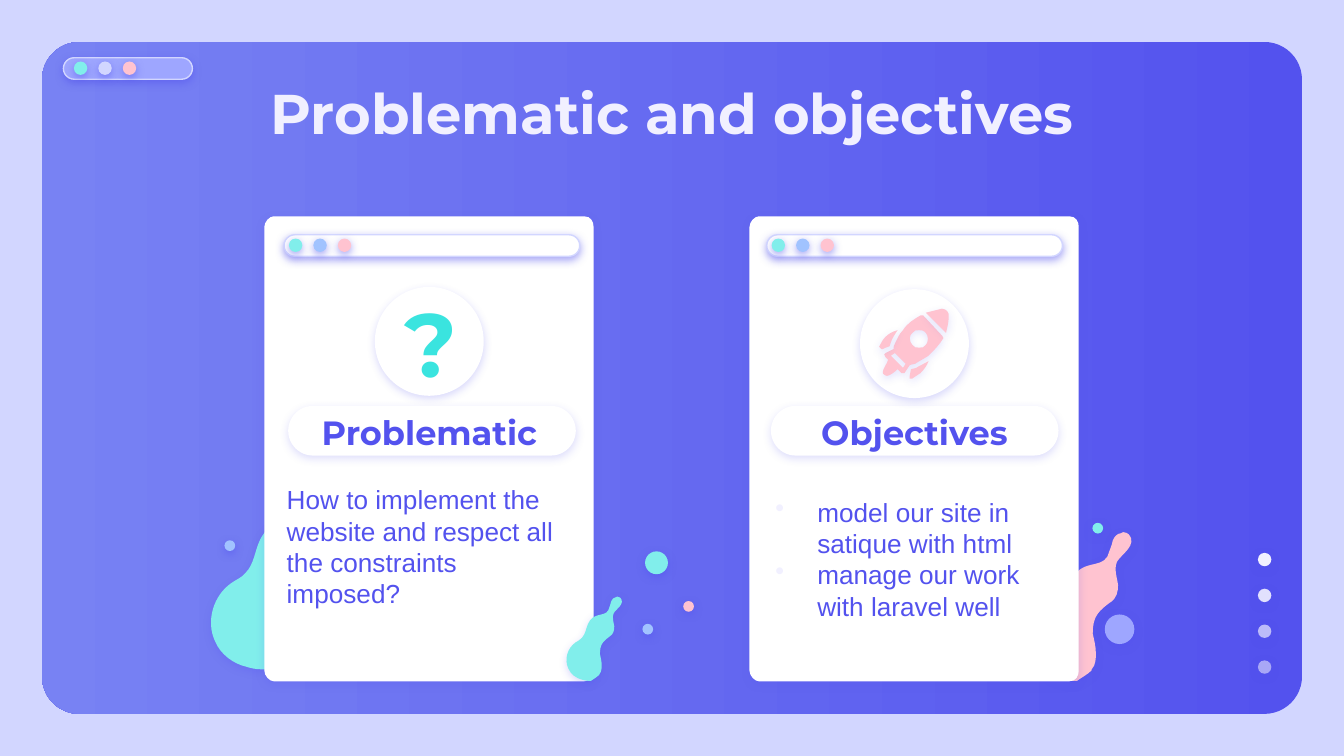
from dataclasses import dataclass

from lxml.etree import SubElement
from pptx import Presentation
from pptx.dml.color import RGBColor
from pptx.enum.shapes import MSO_SHAPE
from pptx.enum.text import MSO_ANCHOR, PP_ALIGN
from pptx.oxml.ns import qn
from pptx.util import Pt

COLOURS = {
    "backdrop": "D2D6FF", "indigo": "5352EE", "periwinkle": "7882F3", "lavender": "9EA6FF",
    "aqua": "81EEEB", "teal": "3AE4DF", "pink": "FFC3D0", "sky": "A1C3FF",
    "pale": "F1F0FF", "white": "FFFFFF",
}
GRID = 0.72  # points in one unit of the outlines below
COMMANDS = {"M": ("a:moveTo", 1), "L": ("a:lnTo", 1), "C": ("a:cubicBezTo", 3),
            "Z": ("a:close", 0)}

CARD = ("M 7 0 C 4 0 0 4 0 8 L 0 338 C 0 342 4 346 7 346 L 238 346 "
        "C 243 346 245 342 245 338 L 245 8 C 245 4 243 0 238 0 Z")
BLOB = ("M 89 0 C 91 0 93 1 94 2 C 103 12 87 21 83 28 C 80 35 83 43 84 50 "
        "C 84 56 83 63 76 67 C 72 70 68 73 65 77 C 61 82 60 89 60 96 "
        "C 61 101 63 108 63 115 C 63 119 63 126 59 130 L 59 131 C 55 135 49 138 45 141 "
        "C 44 141 42 141 41 141 C 37 141 33 140 30 139 C 21 137 11 130 7 120 "
        "C 0 105 6 86 19 77 C 23 74 27 73 30 69 C 36 63 37 52 40 46 "
        "C 49 25 67 35 74 23 C 76 17 78 13 79 8 C 80 5 83 1 87 1 C 88 0 89 0 89 0 Z")
ROCKET_BODY = (
    "M 30 16 C 32 16 33 16 35 18 C 37 20 37 25 35 27 C 34 29 32 29 30 29 "
    "C 28 29 26 29 25 27 C 24 26 23 24 23 22 C 23 20 24 19 25 18 C 26 16 28 16 30 16 Z "
    "M 12 33 L 20 41 L 18 44 L 9 35 L 12 33 Z "
    "M 31 5 C 31 5 31 5 31 5 C 26 8 21 11 18 16 C 15 19 14 22 12 26 C 11 27 11 29 11 30 "
    "L 5 33 C 5 33 4 34 4 34 C 4 35 4 35 5 36 L 7 38 C 6 41 3 45 3 47 C 3 48 3 49 4 49 "
    "C 4 49 5 50 6 50 C 8 50 12 47 14 45 L 17 48 C 17 48 18 48 18 48 L 18 48 "
    "C 19 48 19 48 19 48 L 23 42 C 24 42 25 41 27 41 C 30 39 34 37 37 35 "
    "C 41 31 45 27 48 22 C 48 22 48 21 47 20 L 33 5 C 32 5 32 5 31 5 Z")
ROCKET_NOSE = ("M 47 0 C 47 0 47 0 47 0 C 43 1 39 2 35 3 L 50 18 C 51 14 52 10 52 6 "
               "C 52 4 52 3 51 2 C 50 1 49 0 47 0 Z")
ROCKET_LOWER_FIN = ("M 37 39 L 37 39 C 34 41 31 42 28 44 C 27 44 26 45 24 45 "
                    "C 24 47 24 48 23 50 C 23 50 23 51 23 52 C 24 52 24 52 24 52 "
                    "C 25 52 25 52 25 52 C 27 51 29 49 31 48 C 34 45 36 42 37 39 Z")
ROCKET_UPPER_FIN = ("M 14 16 C 10 17 7 19 5 21 C 3 23 2 25 1 27 C 0 28 0 29 1 29 "
                    "C 1 30 2 30 2 30 C 2 30 3 30 3 30 C 4 29 6 29 8 28 "
                    "C 8 27 8 26 9 25 C 10 22 12 19 14 16 Z")

TITLE_FONT = {"name": "Montserrat", "size": Pt(30), "bold": True}
LABEL_FONT = {"name": "Montserrat", "size": Pt(18), "bold": True}
ICON_FONT = {"name": "Montserrat", "size": Pt(48), "bold": True}
BODY_FONT = {"name": "Arial", "size": Pt(14), "bold": False}


@dataclass
class Box:
    left: float
    top: float
    width: float
    height: float


@dataclass
class Dot:
    left: float
    top: float
    size: float
    colour: str
    opacity: int = 100


@dataclass
class Card:
    left: float
    pill_left: float
    label: str
    icon_top: float
    body: Box
    lines: list[str]
    bulleted: bool = False
    bottom_inset: float = 7.2


def rgb(name: str) -> RGBColor:
    return RGBColor.from_string(COLOURS[name])


def paint(shape, colour: str, shadow: int = 0, line: str = "", opacity: int = 100) -> None:
    """Set fill, outline and soft drop shadow; shadow and opacity are percentages."""
    shape.shadow.inherit = False
    shape.fill.solid()
    shape.fill.fore_color.rgb = rgb(colour)
    properties = shape.element.spPr
    if opacity < 100:
        fill_colour = properties.find(qn("a:solidFill")).find(qn("a:srgbClr"))
        SubElement(fill_colour, qn("a:alpha"), val=str(opacity * 1000))
    if line:
        shape.line.color.rgb = rgb(line)
        shape.line.width = Pt(0.75)
    else:
        shape.line.fill.background()
    if shadow:
        outer = SubElement(properties.find(qn("a:effectLst")), qn("a:outerShdw"),
                           blurRad=str(Pt(4.5)), dist=str(Pt(1.5)), dir="5400000",
                           algn="bl", rotWithShape="0")
        tint = SubElement(outer, qn("a:srgbClr"), val=COLOURS["indigo"])
        SubElement(tint, qn("a:alpha"), val=str(shadow * 1000))


def add_preset(page, kind, box: Box):
    return page.shapes.add_shape(kind, Pt(box.left), Pt(box.top), Pt(box.width), Pt(box.height))


def add_pill(page, box: Box, colour: str, shadow: int, line: str = "") -> None:
    pill = add_preset(page, MSO_SHAPE.ROUNDED_RECTANGLE, box)
    pill.adjustments[0] = 0.5
    paint(pill, colour, shadow, line)


def add_dot(page, dot: Dot) -> None:
    circle = add_preset(page, MSO_SHAPE.OVAL, Box(dot.left, dot.top, dot.size, dot.size))
    paint(circle, dot.colour, 50, opacity=dot.opacity)


def add_window_bar(page, box: Box, inset: float, colour: str, middle_dot: str) -> None:
    add_pill(page, box, colour, 50, "backdrop")
    for index, dot_colour in enumerate(("aqua", middle_dot, "pink")):
        add_dot(page, Dot(box.left + inset + 13.1 * index, box.top + 2, 7.2, dot_colour))


def add_outline(page, outline: str, left: float, top: float, colour: str, shadow: int,
                scale: float = 1) -> None:
    """Size a freeform by all its points, then give it real curves."""
    unit = GRID * scale
    tokens = outline.split()
    numbers = [float(token) for token in tokens if token not in COMMANDS]
    points = [(Pt(left + x * unit), Pt(top + y * unit))
              for x, y in zip(numbers[::2], numbers[1::2])]
    builder = page.shapes.build_freeform(*points[0], scale=1.0)
    builder.add_line_segments(points[1:], close=True)
    shape = builder.convert_to_shape()
    geometry = shape.element.spPr.find(qn("a:custGeom")).find(qn("a:pathLst"))[0]
    for segment in list(geometry):
        geometry.remove(segment)
    remaining = iter(points)
    for token in tokens:
        if token in COMMANDS:
            tag, count = COMMANDS[token]
            segment = SubElement(geometry, qn(tag))
            for _ in range(count):
                x, y = next(remaining)
                SubElement(segment, qn("a:pt"), x=str(x - shape.left), y=str(y - shape.top))
    paint(shape, colour, shadow)


def write(shape, lines: list[str], font: dict, colour: str, centred: bool = True,
          inset: float = 7.2, bottom_inset: float = 7.2, anchor=MSO_ANCHOR.MIDDLE,
          bulleted: bool = False) -> None:
    frame = shape.text_frame
    settings = {"word_wrap": True, "vertical_anchor": anchor, "margin_left": Pt(inset),
                "margin_right": Pt(inset), "margin_top": Pt(inset),
                "margin_bottom": Pt(bottom_inset)}
    for name, value in settings.items():
        setattr(frame, name, value)
    for index, line in enumerate(lines):
        para = frame.add_paragraph() if index else frame.paragraphs[0]
        para.alignment = PP_ALIGN.CENTER if centred else PP_ALIGN.LEFT
        if bulleted:
            properties = para._p.get_or_add_pPr()
            properties.set("marL", str(Pt(22.5)))
            properties.set("indent", str(-Pt(22.5)))
            bullet_colour = SubElement(properties, qn("a:buClr"))
            SubElement(bullet_colour, qn("a:srgbClr"), val=COLOURS["pale"])
            SubElement(properties, qn("a:buChar"), char="•")
        span = para.add_run()
        span.text = line
        for name, value in font.items():
            setattr(span.font, name, value)
        span.font.color.rgb = rgb(colour)


def add_card(page, card: Card) -> None:
    left = card.left
    add_outline(page, CARD, left, 115.92, "white", 18)
    add_pill(page, Box(card.pill_left, 217.44, 154.08, 26.64), "white", 18)
    label = add_preset(page, MSO_SHAPE.RECTANGLE, Box(left + 25.4, 223.92, 126, 15.12))
    paint(label, "white")
    write(label, [card.label], LABEL_FONT, "indigo", inset=0, bottom_inset=0)
    body = add_preset(page, MSO_SHAPE.RECTANGLE, card.body)
    paint(body, "white")
    write(body, card.lines, BODY_FONT, "indigo", centred=False, bulleted=card.bulleted,
          bottom_inset=card.bottom_inset)
    icon = add_preset(page, MSO_SHAPE.OVAL, Box(left + 59.6, card.icon_top, 57.6, 57.6))
    paint(icon, "white", 22, "white")
    if card.label == "Problematic":
        write(icon, ["?"], ICON_FONT, "teal")
    else:
        for outline in (ROCKET_BODY, ROCKET_NOSE, ROCKET_LOWER_FIN, ROCKET_UPPER_FIN):
            add_outline(page, outline, left + 69.3, card.icon_top + 10.08, "pink", 14)
    add_window_bar(page, Box(card.pill_left - 2.2, 125.8, 158.4, 11.5), 2.6, "white", "sky")


def main() -> None:
    deck = Presentation()
    deck.slide_width, deck.slide_height = Pt(720), Pt(405)
    page = deck.slides.add_slide(deck.slide_layouts[6])
    page.background.fill.solid()
    page.background.fill.fore_color.rgb = rgb("backdrop")

    panel = add_preset(page, MSO_SHAPE.ROUNDED_RECTANGLE, Box(22.5, 22.5, 675, 360))
    panel.adjustments[0] = 0.056
    paint(panel, "indigo")
    panel.fill.gradient()
    panel.fill.gradient_angle = 180
    for stop, colour in zip(panel.fill.gradient_stops, ("indigo", "periwinkle")):
        stop.color.rgb = rgb(colour)

    add_window_bar(page, Box(34, 30.96, 69.12, 11.52), 5.6, "lavender", "backdrop")
    for index, opacity in enumerate((100, 90, 67, 54)):
        add_dot(page, Dot(673.92, 296.2 + 19.2 * index, 7.2, "pale", opacity))

    add_outline(page, BLOB, 110.16, 257.04, "aqua", 22)
    add_outline(page, BLOB, 551.52, 285.12, "pink", 22, 0.785)
    for dot in (Dot(120.24, 289.44, 5.76, "sky"), Dot(344.16, 334.2, 5.76, "sky"),
                Dot(345.6, 295.4, 12.24, "aqua"), Dot(366, 322, 5.76, "pink"),
                Dot(591.84, 329.2, 15.84, "lavender"), Dot(585.2, 280.08, 5.76, "aqua")):
        add_dot(page, dot)

    add_card(page, Card(141.6, 154.4, "Problematic", 154.08, Box(146.5, 252.72, 167.04, 79.92),
                        ["How to implement the website and respect all the constraints imposed?"]))
    add_card(page, Card(401.5, 413, "Objectives", 155.3, Box(408.24, 264.24, 167.04, 87.12),
                        ["model our site in satique with html",
                         "manage our work with laravel well"], True, 24))
    add_outline(page, BLOB, 302.2, 319.6, "aqua", 22, 0.445)

    title = page.shapes.add_textbox(Pt(56.6), Pt(35), Pt(606.96), Pt(45.36))
    write(title, ["Problematic and objectives"], TITLE_FONT, "pale", anchor=MSO_ANCHOR.TOP)
    deck.save("out.pptx")


if __name__ == "__main__":
    main()
